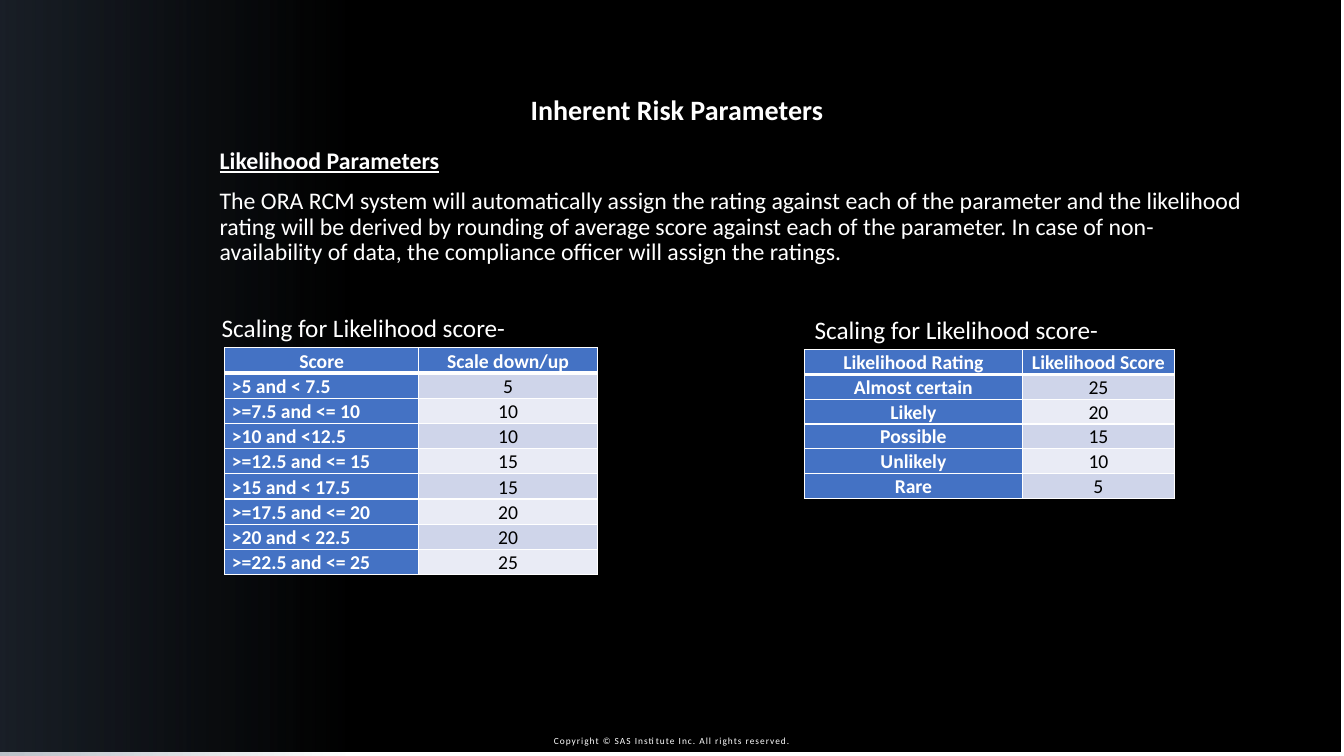
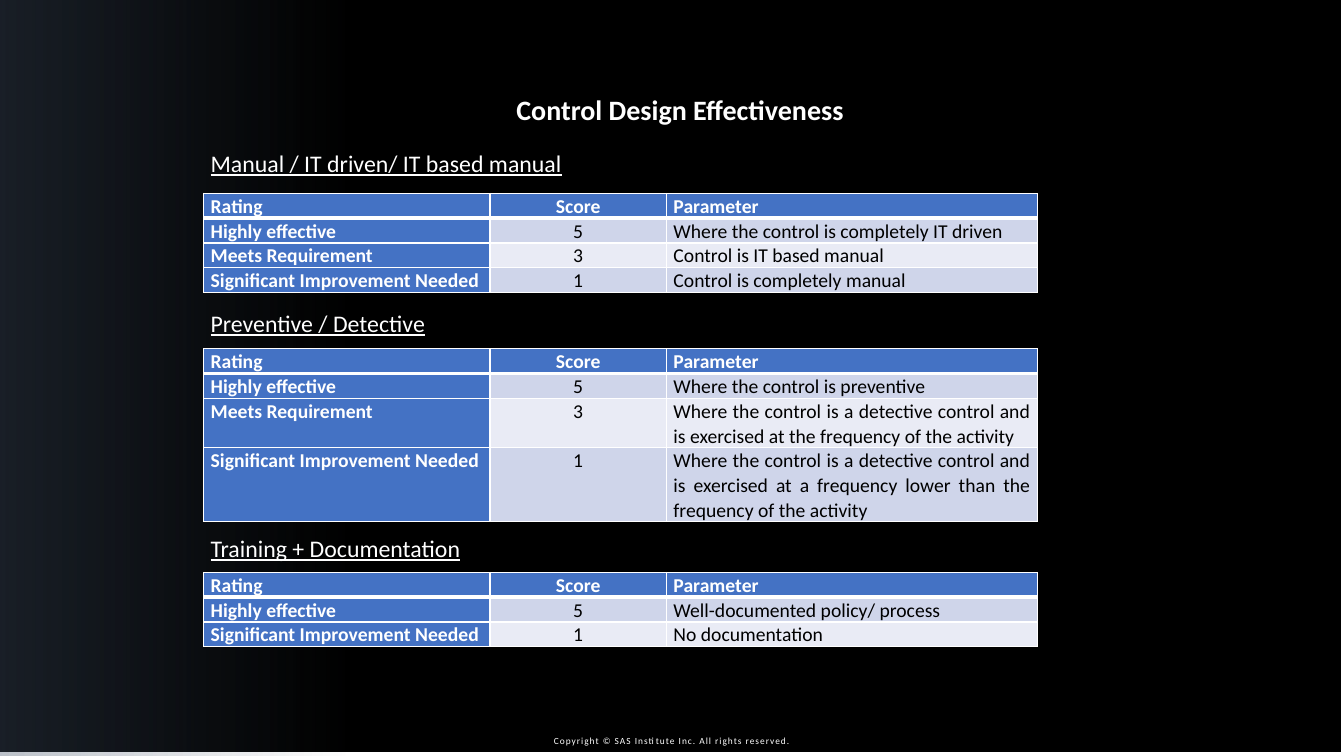
"""Build two dark slides of risk rating tables."""
from lxml import etree
from pptx import Presentation
from pptx.dml.color import RGBColor
from pptx.enum.shapes import MSO_SHAPE
from pptx.enum.text import MSO_ANCHOR, MSO_AUTO_SIZE, PP_ALIGN
from pptx.oxml.ns import qn
from pptx.util import Emu, Pt

PX = 9144
RECTANGLE = MSO_SHAPE.RECTANGLE
LEFT, CENTER, JUSTIFY = PP_ALIGN.LEFT, PP_ALIGN.CENTER, PP_ALIGN.JUSTIFY
TOP, MIDDLE, BOTTOM = MSO_ANCHOR.TOP, MSO_ANCHOR.MIDDLE, MSO_ANCHOR.BOTTOM
FIT_SHAPE, NO_FIT = MSO_AUTO_SIZE.SHAPE_TO_FIT_TEXT, MSO_AUTO_SIZE.NONE
FONT = "Calibri"
WHITE, BLACK, SLATE, BLUE = "FFFFFF", "000000", "44546A", "4472C4"
BANDS = ["CFD5EA", "E9EBF5"]
TOP_LEVEL = TOP, TOP, TOP

RATING_HEADER = ["Rating", "Score", "Parameter"]
BEST, FAIR, POOR = "Highly effective", "Meets Requirement", "Significant Improvement Needed"
RATING = dict(left=202, widths=[284, 175, 368], aligns=[JUSTIFY, CENTER, JUSTIFY],
              anchors=[TOP] * 3, spacing=1.05)
LIKELIHOOD_CAPTION = "Scaling for Likelihood score-"

PAGES = [
    dict(
        title="Inherent Risk Parameters ",
        caption=dict(size=18, after=8),
        sections=[
            (LIKELIHOOD_CAPTION, (210, 303, 305, 42), dict(
                left=223, top=345, widths=[192, 178], heights=[25] * 9,
                aligns=[LEFT, CENTER], anchors=[BOTTOM, MIDDLE], spacing=1.07,
                rows=[["Score", "Scale down/up"],
                      [">5 and < 7.5", "5"],
                      [">=7.5 and <= 10", "10"],
                      [">10 and <12.5", "10"],
                      [">=12.5 and <= 15", "15"],
                      [">15 and < 17.5", "15"],
                      [">=17.5 and <= 20", "20"],
                      [">20 and < 22.5", "20"],
                      [">=22.5 and <= 25", "25"]])),
            (LIKELIHOOD_CAPTION, (798, 305, 305, 42), dict(
                left=798, top=347, widths=[216, 151], heights=[24] * 6,
                aligns=[CENTER, CENTER], anchors=[TOP, TOP], spacing=1.05,
                rows=[["Likelihood Rating", "Likelihood Score"],
                      ["Almost certain", "25"],
                      ["Likely", "20"],
                      ["Possible", "15"],
                      ["Unlikely", "10"],
                      ["Rare", "5"]])),
        ]),
    dict(
        title="Control Design Effectiveness",
        caption=dict(size=17, after=6, underline=True),
        sections=[
            ("Manual / IT driven/ IT based manual", (199, 141, 371, 39), dict(
                RATING, top=192, heights=[24] * 4,
                rows=[RATING_HEADER,
                      [BEST, "5", "Where the control is completely IT driven"],
                      [FAIR, "3", "Control is IT based manual"],
                      [POOR, "1", "Control is completely manual"]])),
            ("Preventive / Detective", (199, 300, 235, 39), dict(
                RATING, top=346, heights=[24, 24, 49, 73],
                rows=[RATING_HEADER,
                      [BEST, "5", "Where the control is preventive"],
                      [FAIR, "3", "Where the control is a detective control and is "
                                  "exercised at the frequency of the activity"],
                      [POOR, "1", "Where the control is a detective control and is exercised "
                                  "at a frequency lower than the frequency of the activity"]])),
            ("Training + Documentation", (199, 523, 270, 39), dict(
                RATING, top=568, heights=[24] * 3,
                rows=[RATING_HEADER,
                      [BEST, "5", "Well-documented policy/ process"],
                      [POOR, "1", "No documentation"]])),
        ]),
]


def write(frame, text, size=17, color=WHITE, bold=False, underline=False,
          align=LEFT, spacing=1.0, before=0, after=0):
    """Add one formatted paragraph to a text frame."""
    para = frame.add_paragraph() if frame.text else frame.paragraphs[0]
    para.alignment = align
    para.line_spacing = spacing
    para.space_before, para.space_after = Pt(before), Pt(after)
    span = para.add_run()
    span.text = text
    span.font.name, span.font.size = FONT, Pt(size)
    span.font.bold, span.font.underline = bold, underline
    span.font.color.rgb = RGBColor.from_string(color)


def add_grid(page, left, top, widths, heights, aligns, anchors, spacing, rows):
    """Add a table with a blue header row, a blue first column and banded cells."""
    size = [Emu(length * PX) for length in (left, top, sum(widths), sum(heights))]
    table = page.shapes.add_table(len(rows), len(widths), *size).table
    for column, width in zip(table.columns, widths):
        column.width = Emu(width * PX)
    for row, height in zip(table.rows, heights):
        row.height = Emu(height * PX)
    for r, texts in enumerate(rows):
        for c, text in enumerate(texts):
            cell = table.cell(r, c)
            strong = r == 0 or c == 0
            cell.margin_left = cell.margin_right = Emu(7 * PX)
            cell.margin_top = cell.margin_bottom = 0
            cell.vertical_anchor = MIDDLE if r == 0 and MIDDLE in anchors else anchors[c]
            align = CENTER if r == 0 and LEFT in aligns else aligns[c]
            write(cell.text_frame, text, size=14, color=WHITE if strong else BLACK,
                  bold=strong, align=align, spacing=spacing)
            properties = cell._tc.get_or_add_tcPr()
            for side in ("lnL", "lnR", "lnT", "lnB"):
                thick = (r, side) in [(0, "lnB"), (1, "lnT")]
                border = etree.SubElement(properties, qn("a:" + side), w=str(Pt(3 if thick else 1)))
                fill = etree.SubElement(border, qn("a:solidFill"))
                etree.SubElement(fill, qn("a:srgbClr"), val=WHITE)
            cell.fill.solid()
            cell.fill.fore_color.rgb = RGBColor.from_string(BLUE if strong else BANDS[(r - 1) % 2])


deck = Presentation()
deck.slide_width, deck.slide_height = Emu(1333 * PX), Emu(750 * PX)
layout = deck.slide_layouts[5]
pages = [deck.slides.add_slide(layout) for _ in PAGES]

shapes = pages[0].shapes
backdrop = shapes.add_shape(RECTANGLE, 0, Emu(-1 * PX), Emu(1330 * PX), Emu(747 * PX))
backdrop.fill.solid()
backdrop.fill.fore_color.rgb = RGBColor.from_string(BLACK)
glow = shapes.add_shape(RECTANGLE, 0, 0, Emu(351 * PX), Emu(751 * PX))
glow.fill.gradient()
glow.fill.gradient_angle = 180
for stop, position in zip(glow.fill.gradient_stops, (0.02, 1)):
    stop.position = position
    stop.color.rgb = RGBColor.from_string(SLATE)
for color, alpha in zip(glow.element.iter(qn("a:srgbClr")), (0, 36000)):
    etree.SubElement(color, qn("a:alpha"), val=str(alpha))
for panel in (backdrop, glow):
    panel.line.fill.background()
    panel.shadow.inherit = False
footer = shapes.add_textbox(*[Emu(length * PX) for length in (483, 724, 367, 21)])
footer.text_frame.word_wrap = True
footer.text_frame.auto_size = FIT_SHAPE
footer.text_frame.vertical_anchor = BOTTOM
write(footer.text_frame, "Copyright © SAS Institute Inc. All rights reserved.", size=6.7, align=CENTER)
for properties in footer.element.iter(qn("a:rPr")):
    properties.set("spc", "70")
for shared in (backdrop, glow, footer):
    layout.shapes.element.append(shared.element)

for page, content in zip(pages, PAGES):
    title = page.shapes.title
    title.left, title.top, title.width, title.height = [
        Emu(length * PX) for length in (61, 87, 1227, 44)]
    title.text_frame.word_wrap = True
    title.text_frame.auto_size = NO_FIT
    title.text_frame.vertical_anchor = TOP
    write(title.text_frame, content["title"], size=20, bold=True, align=CENTER)
    for caption, place, grid in content["sections"]:
        box = page.shapes.add_textbox(*[Emu(length * PX) for length in place])
        box.text_frame.word_wrap = False
        box.text_frame.auto_size = FIT_SHAPE
        write(box.text_frame, caption, align=JUSTIFY, spacing=1.05, **content["caption"])
        add_grid(page, **grid)

body = pages[0].shapes.add_textbox(*[Emu(length * PX) for length in (208, 143, 1044, 104)])
body.text_frame.word_wrap = True
write(body.text_frame, "Likelihood Parameters", bold=True, underline=True, spacing=0.9)
write(body.text_frame,
      "The ORA RCM system will automatically assign the rating against each of the parameter "
      "and the likelihood rating will be derived by rounding of average score against each of "
      "the parameter. In case of non-availability of data, the compliance officer will assign "
      "the ratings.", spacing=0.9, before=10)

deck.save("out.pptx")
